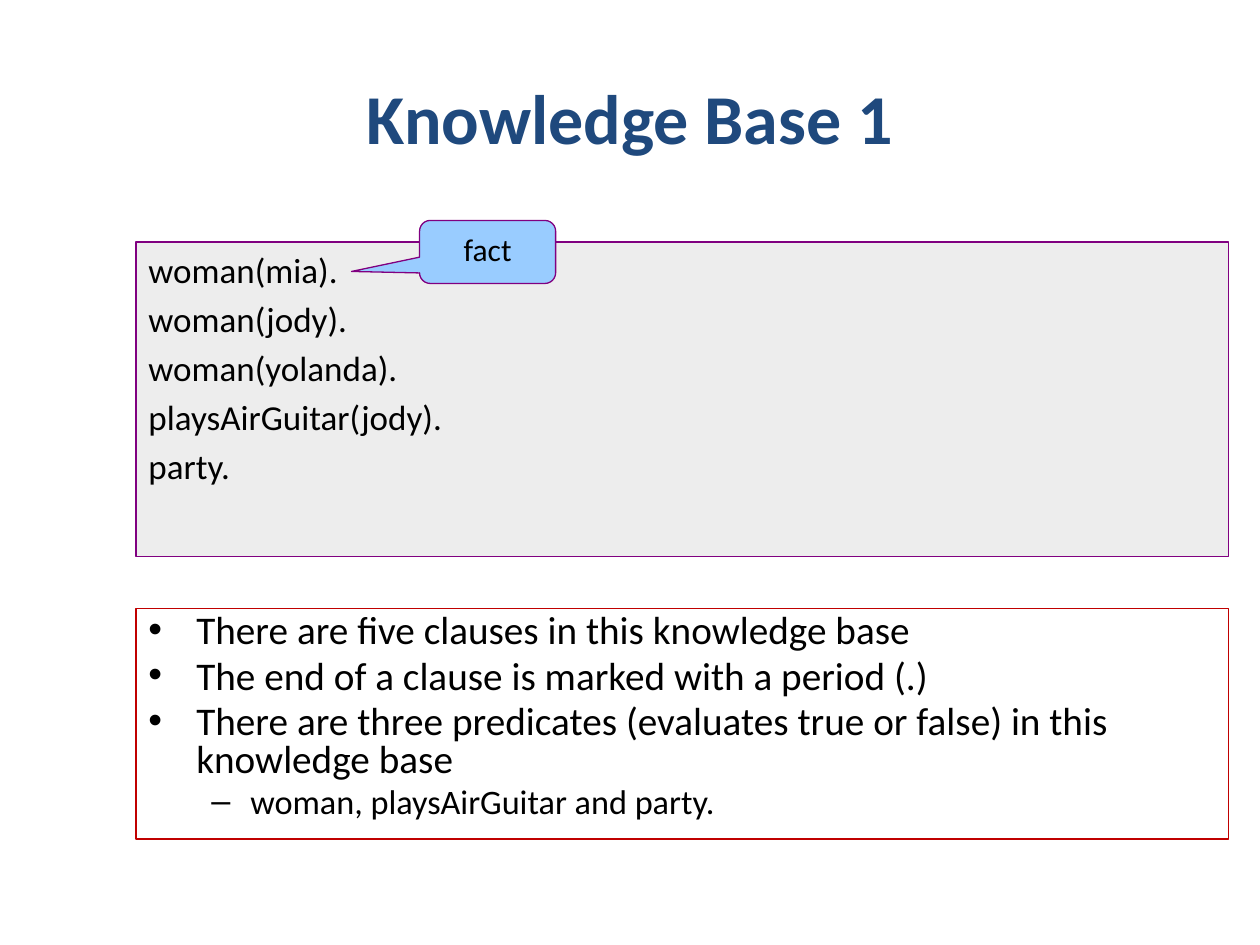
from lxml.etree import SubElement
from pptx import Presentation
from pptx.dml.color import RGBColor
from pptx.enum.shapes import MSO_SHAPE
from pptx.enum.text import MSO_ANCHOR, PP_ALIGN
from pptx.oxml.ns import qn
from pptx.util import Inches, Pt


def color(value):
    return RGBColor.from_string(value)


def add_panel(shape_type, left, top, width, height, fill, line, lines):
    box = page.shapes.add_shape(
        shape_type, Inches(left), Inches(top), Inches(width), Inches(height))
    box.shadow.inherit = False
    if fill:
        box.fill.solid()
        box.fill.fore_color.rgb = color(fill)
    else:
        box.fill.background()
    box.line.color.rgb = color(line)
    box.line.width = Pt(0.75)
    frame = box.text_frame
    frame.word_wrap = True
    frame.vertical_anchor = MSO_ANCHOR.TOP
    frame.text = "\n".join(text for text, size, level, bullet in lines)
    for index, (text, size, level, bullet) in enumerate(lines):
        paragraph = frame.paragraphs[index]
        paragraph.alignment = PP_ALIGN.LEFT
        paragraph.level = level
        paragraph.space_before = Pt(round(size * 0.2, 1) if index else 0)
        if bullet:
            paragraph.line_spacing = 0.8
            left_margin, hanging = [(0.38, 0.38), (0.81, 0.31)][level]
            properties = paragraph._p.get_or_add_pPr()
            properties.set("marL", str(Inches(left_margin)))
            properties.set("indent", str(-Inches(hanging)))
            SubElement(properties, qn("a:buFont"), typeface="Arial")
            SubElement(properties, qn("a:buChar"), char=bullet)
        for span in paragraph.runs:
            span.font.name = "Calibri"
            span.font.size = Pt(size)
            span.font.color.rgb = color("000000")
    return box


deck = Presentation()
deck.slide_width, deck.slide_height = Inches(10), Inches(7.5)
page = deck.slides.add_slide(deck.slide_layouts[5])

title = page.shapes.title
title.left, title.top = Inches(0.5), Inches(0.3)
title.width, title.height = Inches(9), Inches(1.25)
title.text_frame.text = "Knowledge Base 1"
title.text_frame.vertical_anchor = MSO_ANCHOR.MIDDLE
heading = title.text_frame.paragraphs[0]
heading.alignment = PP_ALIGN.CENTER
for span in heading.runs:
    span.font.name = "Calibri"
    span.font.size = Pt(40)
    span.font.bold = True
    span.font.color.rgb = color("1F497D")

clauses = ["woman(mia).", "woman(jody).", "woman(yolanda).",
           "playsAirGuitar(jody).", "party."]
knowledge_base = add_panel(
    MSO_SHAPE.RECTANGLE, 1.08, 1.92, 8.67, 2.5, "DDDDDD", "800080",
    [(clause, 20, 0, None) for clause in clauses])
fill_color = knowledge_base._element.spPr.find(qn("a:solidFill"))[0]
SubElement(fill_color, qn("a:alpha"), val="50000")

callout = add_panel(
    MSO_SHAPE.ROUNDED_RECTANGULAR_CALLOUT, 3.33, 1.75, 1.08, 0.5,
    "99CCFF", "800080", [("fact", 18, 0, None)])
for index, value in enumerate([-1.0, 0.31, 0.17]):
    callout.adjustments[index] = value
callout.text_frame.paragraphs[0].alignment = PP_ALIGN.CENTER

add_panel(
    MSO_SHAPE.RECTANGLE, 1.08, 4.83, 8.67, 1.83, None, "C00000",
    [("There are five clauses in this knowledge base", 22.4, 0, "•"),
     ("The end of a clause is marked with a period (.)", 22.4, 0, "•"),
     ("There are three predicates (evaluates true or false) in this knowledge base",
      22.4, 0, "•"),
     ("woman, playsAirGuitar and party.", 19.6, 1, "–")])

deck.save("out.pptx")
